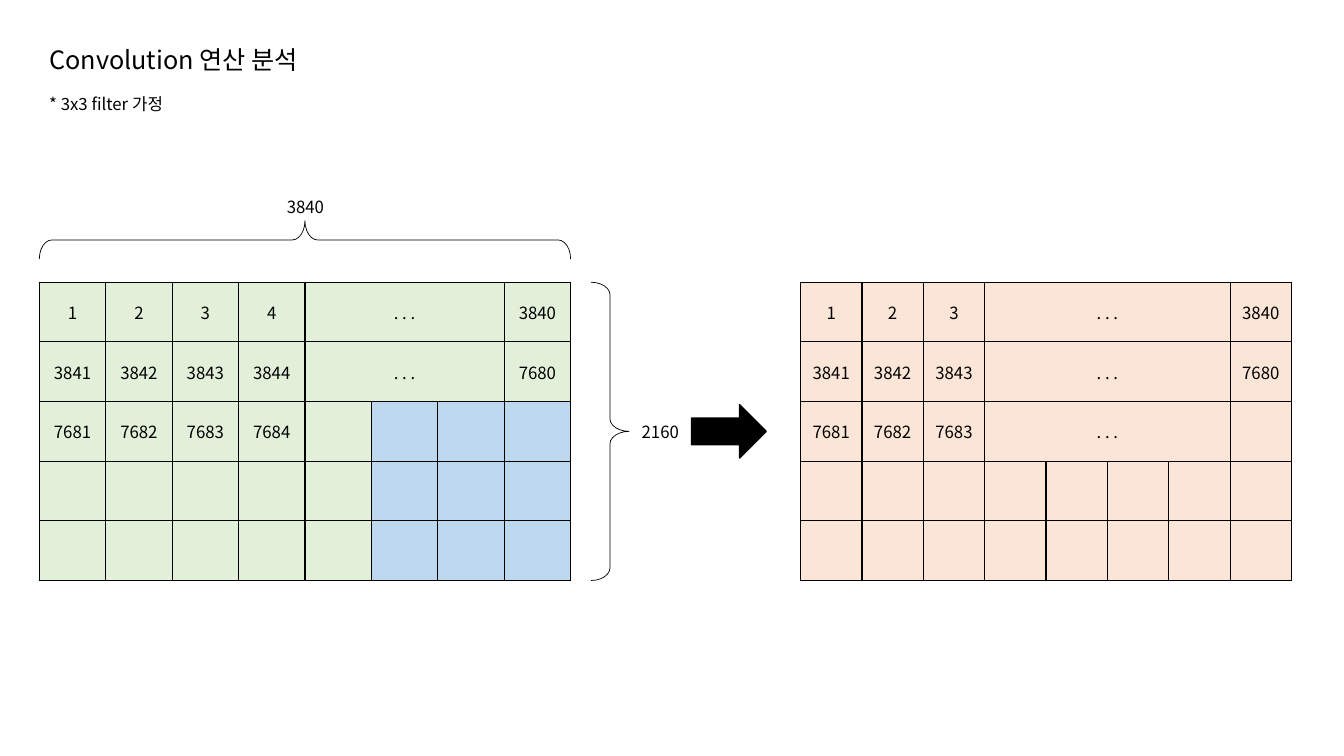
from lxml.etree import SubElement as Sub
from pptx import Presentation
from pptx.dml.color import RGBColor as RGB
from pptx.enum.shapes import MSO_SHAPE as Kind
from pptx.enum.text import MSO_ANCHOR as Anchor, PP_ALIGN as Align
from pptx.oxml.ns import qn
from pptx.util import Inches as In, Pt

FONT = "Noto Sans CJK KR"
HEX = {"ink": "000000", "green": "E2F0D9", "blue": "BDD7EE", "peach": "FBE5D6"}
INK = RGB.from_string(HEX["ink"])

# Grid: both tables share the top edge and the row height
ROWS, COLS = 5, 8
TOP, ROW = 2.8, 0.592
HIGH = ROWS * ROW
LEFT, WIDE = 0.39, 5.27
MID = TOP + HIGH / 2
DEEP = 0.38  # depth of a brace


def write(frame, text, size=12, align=Align.CENTER):
    frame.text = text
    para = frame.paragraphs[0]
    para.alignment = align
    for run in para.runs:
        run.font.size = Pt(size)
        run.font.name = FONT
        run.font.color.rgb = INK
        Sub(run._r.get_or_add_rPr(), qn("a:ea"), typeface=FONT)


deck = Presentation()
deck.slide_width, deck.slide_height = In(13.33), In(7.5)
slide = deck.slides.add_slide(deck.slide_layouts[5])
shapes = slide.shapes

# Title
title = shapes.title
title.left, title.top, title.width, title.height = In(LEFT), In(0.39), In(5), In(0.4)
write(title.text_frame, "Convolution 연산 분석", 18, Align.LEFT)
title.text_frame.vertical_anchor = Anchor.MIDDLE

# Note and size labels
for text, x, y, w, align in [
    ("* 3x3 filter 가정", LEFT, 0.88, 2.77, Align.LEFT),
    ("3840", 2.15, 1.9, 1.76, Align.CENTER),
    ("2160", 5.67, MID - 0.15, 1.76, Align.CENTER),
]:
    box = shapes.add_textbox(In(x), In(y), In(w), In(0.3))
    box.text_frame.word_wrap = True
    write(box.text_frame, text, 12, align)

# Tables: left, width, fill, columns of the "..." span, rows of text by column
for x, w, tint, first, last, rows in [
    (LEFT, WIDE, "green", 4, 6, [
        ["1", "2", "3", "4", ". . .", "", "", "3840"],
        ["3841", "3842", "3843", "3844", ". . .", "", "", "7680"],
        ["7681", "7682", "7683", "7684"],
    ]),
    (7.94, 4.87, "peach", 3, 6, [
        ["1", "2", "3", ". . .", "", "", "", "3840"],
        ["3841", "3842", "3843", ". . .", "", "", "", "7680"],
        ["7681", "7682", "7683", ". . ."],
    ]),
]:
    table = shapes.add_table(ROWS, COLS, In(x), In(TOP), In(w), In(HIGH)).table
    table.first_row = table.horz_banding = False
    for col in table.columns:
        col.width = In(w / COLS)
    for r in range(ROWS):
        table.rows[r].height = In(ROW)
        for c in range(COLS):
            cell = table.cell(r, c)
            cell.vertical_anchor = Anchor.MIDDLE
            for side in ("L", "R", "T", "B"):
                line = Sub(cell._tc.get_or_add_tcPr(), qn("a:ln" + side), w=str(Pt(1)))
                Sub(Sub(line, qn("a:solidFill")), qn("a:srgbClr"), val=HEX["ink"])
            # The 3x3 filter lies in the lower right corner of the input
            patch = tint == "green" and r >= ROWS - 3 and c >= COLS - 3
            cell.fill.solid()
            cell.fill.fore_color.rgb = RGB.from_string(HEX["blue" if patch else tint])
            if r < len(rows) and c < len(rows[r]) and rows[r][c]:
                write(cell.text_frame, rows[r][c])
        if r < len(rows) and ". . ." in rows[r]:
            table.cell(r, first).merge(table.cell(r, last))

# Braces: the top one is a right brace turned about its centre
for cx, cy, span, turn in [
    (LEFT + WIDE / 2, 2.38, WIDE, 270),
    (5.86 + DEEP / 2, MID, HIGH, 0),
]:
    brace = shapes.add_shape(Kind.RIGHT_BRACE, In(cx - DEEP / 2), In(cy - span / 2),
                             In(DEEP), In(span))
    brace.rotation = turn
    brace.adjustments[0] = 0.33
    brace.shadow.inherit = False
    brace.fill.background()
    brace.line.color.rgb = INK
    brace.line.width = Pt(0.5)

# Arrow from input to output
arrow = shapes.add_shape(Kind.RIGHT_ARROW, In(6.86), In(MID - 0.265), In(0.74), In(0.53))
arrow.shadow.inherit = False
arrow.fill.solid()
arrow.fill.fore_color.rgb = INK
arrow.line.color.rgb = INK
arrow.line.width = Pt(1)

deck.save("out.pptx")
